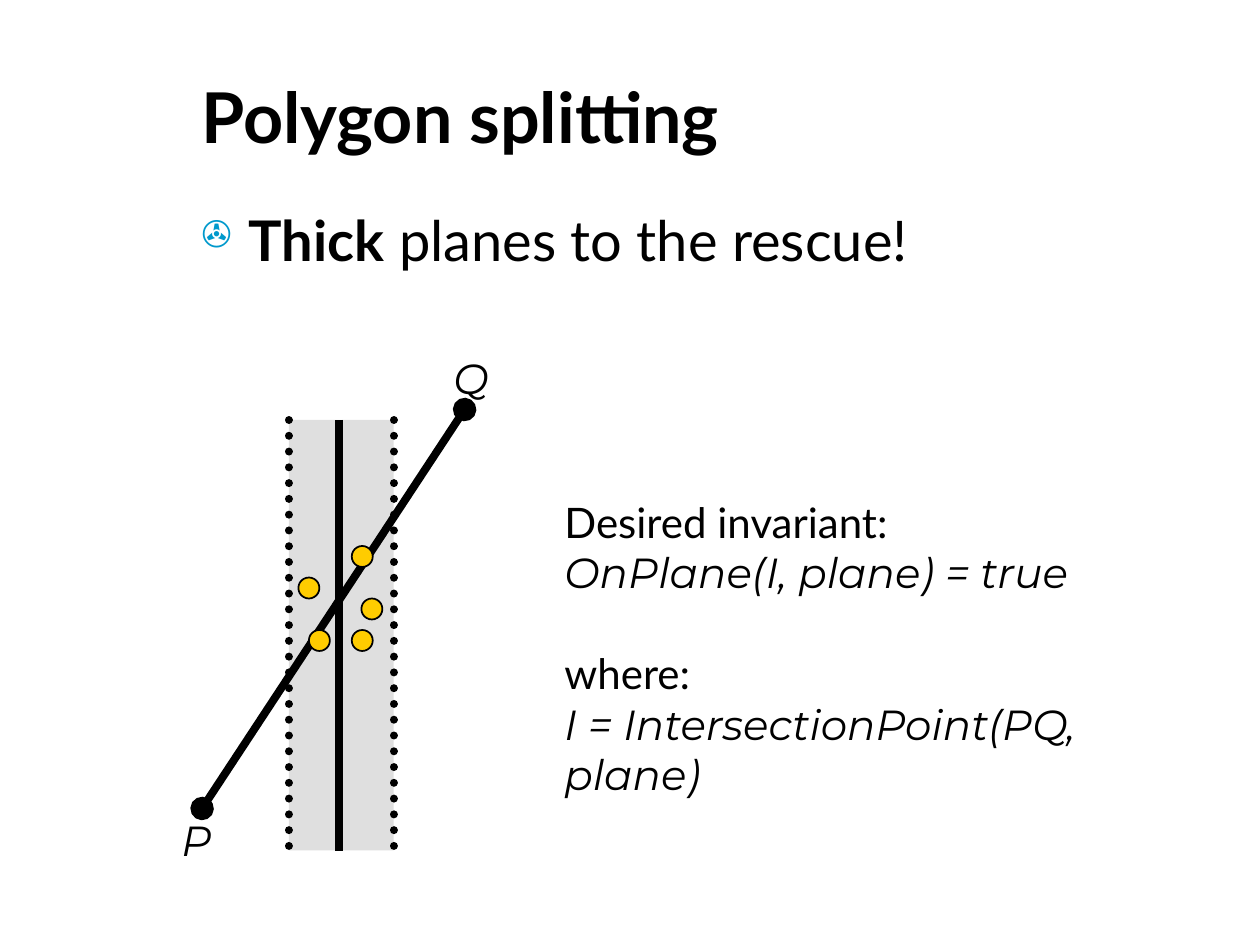
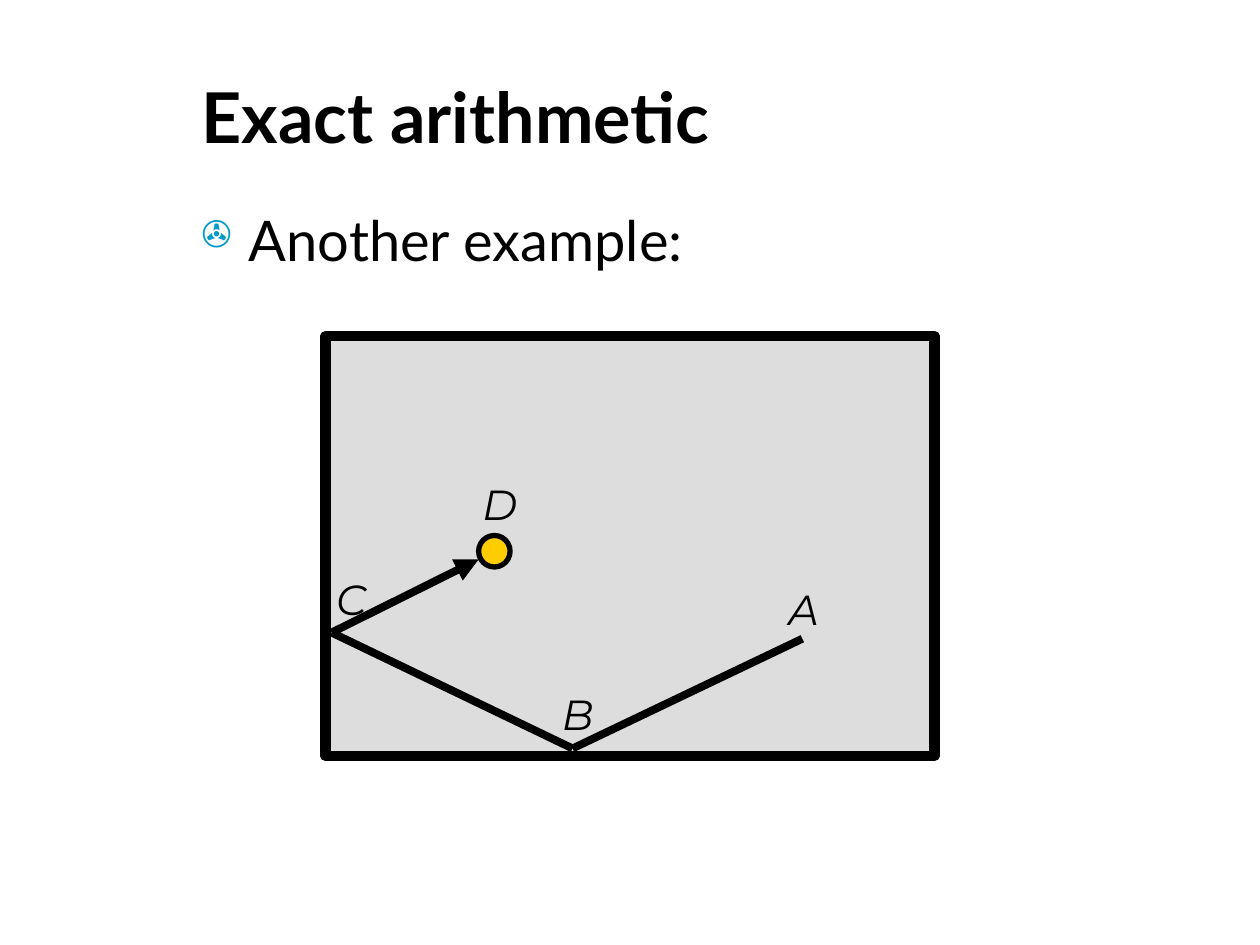
from dataclasses import dataclass

from lxml import etree
from pptx import Presentation
from pptx.dml.color import RGBColor
from pptx.enum import dml, shapes, text
from pptx.oxml import ns
from pptx.util import Pt


@dataclass(frozen=True)
class Theme:
    ink: str = "000000"
    bullet: str = "0099CC"
    point: str = "FFCC00"
    plane: str = "C0C0C0"
    room: str = "DDDDDD"
    body_font: str = "Lato"
    math_font: str = "Montserrat"
    title_size: float = 40
    body_size: float = 32
    label_size: float = 24
    stroke: float = 4.5


T = Theme()
TITLE_BOX = (108, 30, 594, 72)
BULLET_BOX = (108, 114, 594, 61)


def rgb(value):
    return RGBColor.from_string(value)


def sub(parent, tag, **attrs):
    return etree.SubElement(parent, ns.qn(tag), attrs)


def style(font, size, name=T.body_font, bold=False, italic=False):
    font.size, font.name = Pt(size), name
    font.bold, font.italic = bold, italic
    font.color.rgb = rgb(T.ink)


def text_frame(s, box, wrap=True, anchor=text.MSO_ANCHOR.TOP):
    tf = s.shapes.add_textbox(*map(Pt, box)).text_frame
    tf.word_wrap, tf.vertical_anchor = wrap, anchor
    return tf


def title(s, words):
    p = text_frame(s, TITLE_BOX, anchor=text.MSO_ANCHOR.MIDDLE).paragraphs[0]
    p.text = words
    style(p.font, T.title_size, bold=True)


def bullet(s, *runs):
    """Write one bulleted line from (words, bold) pairs."""
    p = text_frame(s, BULLET_BOX).paragraphs[0]
    pPr = p._p.get_or_add_pPr()
    pPr.set("marL", str(Pt(27)))
    pPr.set("indent", str(Pt(-27)))
    sub(sub(pPr, "a:buClr"), "a:srgbClr", val=T.bullet)
    sub(pPr, "a:buSzPct", val="65000")
    sub(pPr, "a:buChar", char="✇")
    for words, bold in runs:
        r = p.add_run()
        r.text = words
        style(r.font, T.body_size, bold=bold)


def label(s, letter, x, y):
    p = text_frame(s, (x, y, 29, 36), wrap=False).paragraphs[0]
    p.text = letter
    style(p.font, T.label_size, T.math_font, italic=True)


def line(s, start, end, head=None, tail=None, dotted=False):
    c = s.shapes.add_connector(shapes.MSO_CONNECTOR.STRAIGHT,
                               *map(Pt, (*start, *end)))
    c.line.width = Pt(T.stroke)
    c.line.color.rgb = rgb(T.ink)
    ln = c.line._get_or_add_ln()
    if dotted:
        c.line.dash_style = dml.MSO_LINE.ROUND_DOT
        ln.set("cap", "rnd")
    for tag, kind in (("a:headEnd", head), ("a:tailEnd", tail)):
        if kind:
            sub(ln, tag, type=kind)
    sub(c._element.spPr, "a:effectLst")


def shape(s, kind, box, fill, width=None):
    sp = s.shapes.add_shape(kind, *map(Pt, box))
    sp.shadow.inherit = False
    sp.fill.solid()
    sp.fill.fore_color.rgb = rgb(fill)
    if width:
        sp.line.width = Pt(width)
        sp.line.color.rgb = rgb(T.ink)
    else:
        sp.line.fill.background()
    return sp


def thick_plane(s, x, y, w, h):
    sp = shape(s, shapes.MSO_SHAPE.RECTANGLE, (x, y, w, h), T.plane)
    color = sp._element.spPr.find(".//" + ns.qn("a:srgbClr"))
    sub(color, "a:alpha", val="50000")
    for dx, dotted in ((w, True), (0, True), (28.5, False)):
        line(s, (x + dx, y), (x + dx, y + h), dotted=dotted)

    line(s, (x - 49.5, y + 222), (x + 100.5, y - 6), head="oval", tail="oval")
    label(s, "P", x - 68.5, y + 222)
    label(s, "Q", x + 87, y - 42)
    for dx, dy in ((36, 120), (11.5, 120), (5.5, 90), (41.5, 102), (36, 72)):
        shape(s, shapes.MSO_SHAPE.OVAL, (x + dx, y + dy, 12, 12), T.point, 1)


def invariant(s, box):
    """Pair each plain heading with its formula in italics."""
    tf = text_frame(s, box)
    pairs = (("Desired invariant:", "OnPlane(I, plane) = true"),
             ("where:", "I = IntersectionPoint(PQ, plane)"))
    for i, (heading, formula) in enumerate(pairs):
        p = tf.add_paragraph() if i else tf.paragraphs[0]
        p.text = heading
        if i:
            p.space_before = Pt(29)
        style(p.font, T.label_size)
        p = tf.add_paragraph()
        p.text = formula
        style(p.font, T.label_size, T.math_font, italic=True)


def bouncing_path(s, x, y, w, h):
    shape(s, shapes.MSO_SHAPE.RECTANGLE, (x, y, w, h), T.room, 6)
    a, b, c, tip = ((x + dx, y + dy) for dx, dy in
                    ((272.5, 173), (141.2, 235.7), (3.5, 169.5), (87.5, 127.7)))
    line(s, a, b)
    line(s, c, b)
    line(s, c, tip, tail="triangle")
    shape(s, shapes.MSO_SHAPE.OVAL, (x + 87.5, y + 114, 18, 18), T.point, 3)
    for letter, dx, dy in (("A", 257.5, 138), ("B", 128, 198),
                           ("C", -1, 132), ("D", 82.5, 78)):
        label(s, letter, x + dx, y + dy)


def polygon_splitting(s):
    title(s, "Polygon splitting")
    bullet(s, ("Thick", True), (" planes to the rescue!", False))
    thick_plane(s, 165, 240, 60, 246)
    invariant(s, (315.5, 280, 346, 151))


def exact_arithmetic(s):
    title(s, "Exact arithmetic")
    bullet(s, ("Another example:", False))
    bouncing_path(s, 186, 192, 348, 240)


def main():
    prs = Presentation()
    prs.slide_width, prs.slide_height = Pt(720), Pt(540)
    for build in (polygon_splitting, exact_arithmetic):
        build(prs.slides.add_slide(prs.slide_layouts[6]))
    prs.save("out.pptx")


if __name__ == "__main__":
    main()
